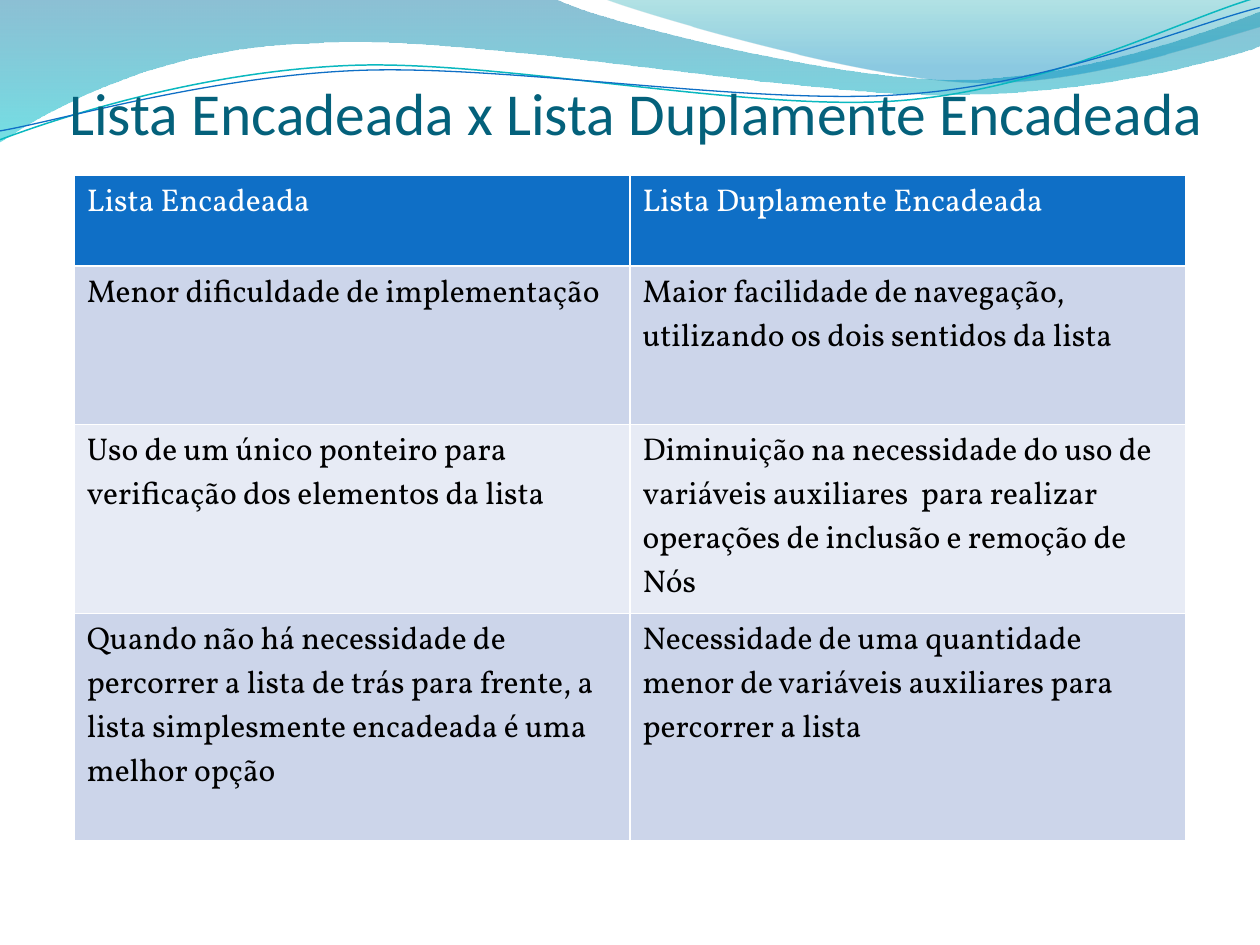
import math

from lxml import etree
from pptx import Presentation
from pptx.dml.color import RGBColor
from pptx.enum import text
from pptx.oxml import ns
from pptx.util import Inches, Pt

WHITE = RGBColor(0xFF, 0xFF, 0xFF)
BLACK = RGBColor(0x00, 0x00, 0x00)
BLUE = RGBColor(0x0F, 0x6F, 0xC6)
AQUA = RGBColor(0x0A, 0xB8, 0xBF)
TITLE_TEAL = RGBColor(0x04, 0x61, 0x7B)
BAND_DARK = RGBColor(0xCC, 0xD5, 0xEA)
BAND_LIGHT = RGBColor(0xE7, 0xEB, 0xF5)
TILT = 2.7  # degrees the wave lines are turned counter-clockwise


def add_outline(shapes, start, segments, closed):
    """Draw a freeform; a segment is a line end (2 numbers) or a cubic curve (6)."""
    builder = shapes.build_freeform(Inches(start[0]), Inches(start[1]))
    ends = [(Inches(seg[-2]), Inches(seg[-1])) for seg in segments]
    builder.add_line_segments(ends, close=closed)
    sp = builder.convert_to_shape()
    sp.shadow.inherit = False
    # Turn the pieces with control points into real curves
    pieces = list(sp._element.spPr.iter(ns.qn("a:lnTo")))
    for piece, seg in zip(pieces, segments):
        if len(seg) == 6:
            curve = etree.Element(ns.qn("a:cubicBezTo"))
            for x, y in zip(seg[::2], seg[1::2]):
                etree.SubElement(curve, ns.qn("a:pt"), x=str(Inches(x) - sp.left),
                                 y=str(Inches(y) - sp.top))
            piece.getparent().replace(piece, curve)
    return sp


def set_borders(cell, color, width):
    tc_pr = cell._tc.get_or_add_tcPr()
    for i, side in enumerate(("lnL", "lnR", "lnT", "lnB")):
        ln = etree.Element(ns.qn(f"a:{side}"), w=str(Pt(width)))
        fill = etree.SubElement(ln, ns.qn("a:solidFill"))
        etree.SubElement(fill, ns.qn("a:srgbClr"), val=str(color))
        tc_pr.insert(i, ln)


prs = Presentation()
prs.slide_width, prs.slide_height = Inches(10), Inches(7.5)
s = prs.slides.add_slide(prs.slide_layouts[5])

# Gradient waves: start, segments, stops as (position, colour, opacity %)
waves = [
    ((0, 0),
     [(4.4, -0.01), (4.76, 0.17, 6.64, 0.63, 7.58, 0.63),
      (8.53, 0.63, 9.58, 0.26, 10, 0.09), (10.01, 0.36),
      (9.83, 0.44, 8.7, 0.76, 7.46, 0.75), (6.22, 0.75, 3.82, 0.28, 2.57, 0.34),
      (1.29, 0.36, 0.46, 0.83, -0.01, 1.13), (0, 0)],
     [(0, RGBColor(0x00, 0x74, 0xA1), 45), (1, RGBColor(0x00, 0xC6, 0xCF), 55)]),
    ((4.79, -0.01),
     [(5.09, 0.11, 6.82, 0.62, 7.69, 0.65), (8.56, 0.69, 9.61, 0.32, 10, 0.21),
      (10, 0), (4.79, -0.01)],
     [(0, RGBColor(0x00, 0xA1, 0xA9), 30), (0.8, RGBColor(0x00, 0x8B, 0xBF), 45)]),
]
for start, segments, stops in waves:
    sp = add_outline(s.shapes, start, segments, True)
    sp.line.fill.background()
    sp.fill.gradient()
    sp.fill.gradient_angle = 270
    for stop, (position, color, _) in zip(sp.fill.gradient_stops, stops):
        stop.position = position
        stop.color.rgb = color
    for clr, (_, _, opacity) in zip(sp._element.spPr.iter(ns.qn("a:srgbClr")), stops):
        etree.SubElement(clr, ns.qn("a:alpha"), val=str(opacity * 1000))

# Thin wave lines, grouped: points as they lie on the slide, three per curve
wave_lines = [
    ([(0, 1.11), (0.48, 0.93), (1.58, 0.57), (2.77, 0.52), (3.95, 0.47),
      (5.93, 0.89), (7.13, 0.8), (8.33, 0.71), (9.38, 0.15), (9.98, -0.02)],
     AQUA, 0.85),
    ([(0, 1.04), (0.47, 0.96), (1.64, 0.61), (2.83, 0.56), (4.03, 0.51),
      (5.97, 0.84), (7.17, 0.75), (8.36, 0.67), (9.41, 0.21), (10, 0.06)],
     BLUE, 0.75),
]
group = s.shapes.add_group_shape()
cos, sin = math.cos(math.radians(TILT)), math.sin(math.radians(TILT))
for points, color, width in wave_lines:
    cx = (points[0][0] + points[-1][0]) / 2
    cy = (points[0][1] + points[-1][1]) / 2
    level = [(cx + (x - cx) * cos - (y - cy) * sin,
              cy + (x - cx) * sin + (y - cy) * cos) for x, y in points]
    curves = [sum(level[i:i + 3], ()) for i in range(1, len(level), 3)]
    sp = add_outline(group.shapes, level[0], curves, False)
    sp.rotation = -TILT
    # The turn is about the frame's middle, so put that on the line's own middle
    low, high = (f(y for _, y in level[::3]) for f in (min, max))
    dx, dy = 0, (low + high) / 2 - cy
    sp.left += Inches(dx - dy * sin)
    sp.top += Inches(dy * cos - dy)
    sp.fill.background()
    sp.line.color.rgb = color
    sp.line.width = Pt(width)

# Title, brought in front of the waves
title = s.shapes.title
s.shapes._spTree.append(title._element)
title.left, title.top = Inches(0.55), Inches(0.23)
title.width, title.height = Inches(9), Inches(0.94)
tf = title.text_frame
tf.text = "Lista Encadeada x Lista Duplamente Encadeada"
tf.auto_size = text.MSO_AUTO_SIZE.NONE
tf.vertical_anchor = text.MSO_ANCHOR.BOTTOM
tf.margin_left = tf.margin_right = tf.margin_bottom = 0
tf.margin_top = Inches(0.05)
p = tf.paragraphs[0]
p.alignment = text.PP_ALIGN.LEFT
p.font.name, p.font.size = "Calibri", Pt(34)
p.font.color.rgb = TITLE_TEAL

# Comparison table
rows = [
    ("Lista Encadeada", "Lista Duplamente Encadeada"),
    ("Menor dificuldade de implementação",
     "Maior facilidade de navegação, utilizando os dois sentidos da lista"),
    ("Uso de um único ponteiro para verificação dos elementos da lista",
     "Diminuição na necessidade do uso de variáveis auxiliares  para realizar "
     "operações de inclusão e remoção de Nós"),
    ("Quando não há necessidade de percorrer a lista de trás para frente, a lista "
     "simplesmente encadeada é uma melhor opção",
     "Necessidade de uma quantidade menor de variáveis auxiliares para percorrer "
     "a lista"),
]
row_heights = [0.72, 1.26, 1.5, 1.8]
row_fills = [BLUE, BAND_DARK, BAND_LIGHT, BAND_DARK]
table = s.shapes.add_table(len(rows), 2, Inches(0.59), Inches(1.39),
                           Inches(8.82), Inches(sum(row_heights))).table
for r, (words, height, fill) in enumerate(zip(rows, row_heights, row_fills)):
    table.rows[r].height = Inches(height)
    for c, word in enumerate(words):
        cell = table.cell(r, c)
        cell.text = word
        cell.fill.solid()
        cell.fill.fore_color.rgb = fill
        set_borders(cell, WHITE, 1)
        p = cell.text_frame.paragraphs[0]
        p.font.name, p.font.size = "Vollkorn", Pt(18)
        p.font.bold = False
        p.font.color.rgb = BLACK if r else WHITE

prs.save("out.pptx")
